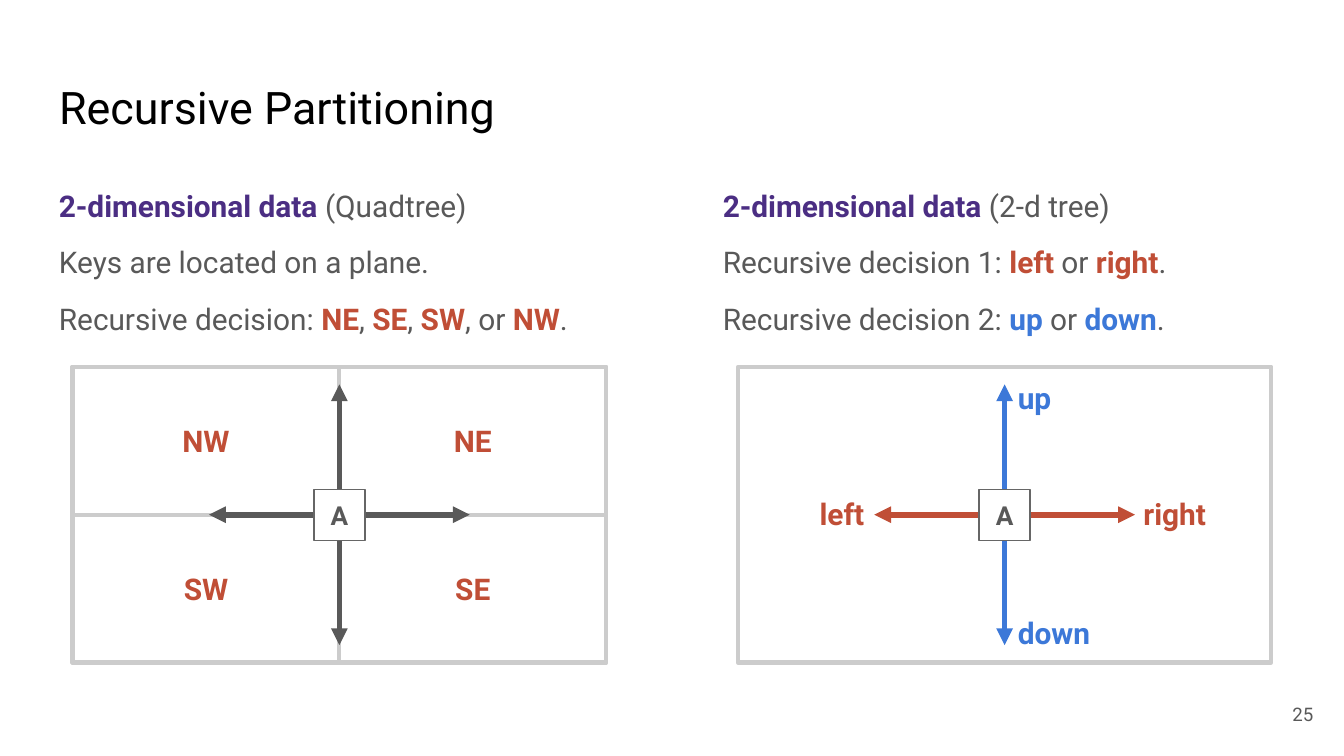
from itertools import product

from lxml.etree import SubElement
from pptx import Presentation
from pptx.dml.color import RGBColor
from pptx.enum.shapes import MSO_CONNECTOR, MSO_SHAPE
from pptx.enum.text import MSO_ANCHOR, MSO_AUTO_SIZE, PP_ALIGN
from pptx.oxml.ns import qn
from pptx.util import Inches, Pt

BLACK = RGBColor(0x00, 0x00, 0x00)
WHITE = RGBColor(0xFF, 0xFF, 0xFF)
GREY = RGBColor(0x59, 0x59, 0x59)
EDGE = RGBColor(0x66, 0x66, 0x66)
PALE = RGBColor(0xCC, 0xCC, 0xCC)
PURPLE = RGBColor(0x4B, 0x2E, 0x83)
RED = RGBColor(0xC0, 0x4E, 0x36)
BLUE = RGBColor(0x3C, 0x78, 0xD8)

# Plane geometry, in inches
TOP, WIDTH, HEIGHT = 2.73, 3.97, 2.2
MID = TOP + HEIGHT / 2
REACH = 0.97
NODE = 0.38


def apply(item, values):
    for name, value in values.items():
        setattr(item, name, value)


def set_frame(frame, anchor):
    apply(frame, {
        "word_wrap": True, "auto_size": MSO_AUTO_SIZE.NONE,
        "vertical_anchor": anchor,
        "margin_left": Inches(0.1), "margin_right": Inches(0.1),
        "margin_top": Inches(0.1), "margin_bottom": Inches(0.1),
    })


def add_run(para, text, size, color, bold=False):
    run = para.add_run()
    run.text = text
    apply(run.font, {"name": "Roboto", "size": Pt(size), "bold": bold})
    run.font.color.rgb = color


def add_label(slide, box, text, color, size=16, bold=True,
              align=PP_ALIGN.LEFT):
    frame = slide.shapes.add_textbox(*map(Inches, box)).text_frame
    set_frame(frame, MSO_ANCHOR.MIDDLE)
    para = frame.paragraphs[0]
    para.alignment = align
    add_run(para, text, size, color, bold)


def add_body(slide, left, lines):
    """Each line is a list of (text, color); coloured words are bold."""
    box = map(Inches, (left, 1.26, 4.37, 1.3))
    frame = slide.shapes.add_textbox(*box).text_frame
    set_frame(frame, MSO_ANCHOR.TOP)
    for index, line in enumerate(lines):
        para = frame.add_paragraph() if index else frame.paragraphs[0]
        apply(para, {"line_spacing": 1.15,
                     "space_before": Pt(8 if index else 0)})
        for text, color in line:
            add_run(para, text, 16, color, color != GREY)


def add_rect(slide, box, line, width, fill=None, text="", size=16,
             color=RED):
    rect = slide.shapes.add_shape(MSO_SHAPE.RECTANGLE, *map(Inches, box))
    rect.shadow.inherit = False
    if fill is None:
        rect.fill.background()
    else:
        rect.fill.solid()
        rect.fill.fore_color.rgb = fill
    rect.line.color.rgb = line
    rect.line.width = Pt(width)
    if text:
        set_frame(rect.text_frame, MSO_ANCHOR.MIDDLE)
        para = rect.text_frame.paragraphs[0]
        para.alignment = PP_ALIGN.CENTER
        add_run(para, text, size, color, True)


def add_arrow(slide, ends, color):
    arrow = slide.shapes.add_connector(MSO_CONNECTOR.STRAIGHT,
                                       *map(Inches, ends))
    arrow.line.color.rgb = color
    arrow.line.width = Pt(3)
    stroke = arrow.line._get_or_add_ln()
    for tag in ("a:headEnd", "a:tailEnd"):
        SubElement(stroke, qn(tag), type="triangle")
    SubElement(arrow._element.spPr, qn("a:effectLst"))


def add_cross(slide, mid, across, upright):
    """Double arrows in both directions with node A at their centre."""
    add_arrow(slide, (mid - REACH, MID, mid + REACH, MID), across)
    add_arrow(slide, (mid, MID - REACH, mid, MID + REACH), upright)
    box = (mid - NODE / 2, MID - NODE / 2, NODE, NODE)
    add_rect(slide, box, EDGE, 0.75, WHITE, "A", 14, GREY)


def add_quad(slide, left):
    add_rect(slide, (left, TOP, WIDTH, HEIGHT), PALE, 2.25, WHITE)
    wide, high = WIDTH / 2, HEIGHT / 2
    for (col, side), (row, pole) in product(enumerate("WE"),
                                            enumerate("NS")):
        box = (left + col * wide, TOP + row * high, wide, high)
        add_rect(slide, box, PALE, 2.25, text=pole + side)
    add_cross(slide, left + wide, GREY, GREY)


def add_split(slide, left):
    add_rect(slide, (left, TOP, WIDTH, HEIGHT), PALE, 2.25, WHITE)
    mid = left + WIDTH / 2
    add_cross(slide, mid, RED, BLUE)
    for text, x, y, color in (("up", mid, TOP, BLUE),
                              ("down", mid, 4.48, BLUE),
                              ("left", 6, 3.6, RED),
                              ("right", 8.41, 3.6, RED)):
        add_label(slide, (x, y, 1, 0.45), text, color)


def add_title(slide, text):
    title = slide.shapes.title
    apply(title, {"left": Inches(0.34), "top": Inches(0.49),
                  "width": Inches(9.32), "height": Inches(0.63)})
    set_frame(title.text_frame, MSO_ANCHOR.TOP)
    para = title.text_frame.paragraphs[0]
    para.alignment = PP_ALIGN.LEFT
    add_run(para, text, 24, BLACK)


def main():
    deck = Presentation()
    # Widescreen, 16:9
    apply(deck, {"slide_width": Inches(10),
                 "slide_height": Inches(10 * 9 / 16)})
    slide = deck.slides.add_slide(deck.slide_layouts[5])

    add_title(slide, "Recursive Partitioning")
    add_label(slide, (9.27, 5.1, 0.6, 0.43), "25", GREY, 10, False,
              PP_ALIGN.RIGHT)

    # Quadtree on the left
    add_body(slide, 0.34, [
        [("2-dimensional data", PURPLE), (" (Quadtree)", GREY)],
        [("Keys are located on a plane.", GREY)],
        [("Recursive decision: ", GREY), ("NE", RED), (", ", GREY),
         ("SE", RED), (", ", GREY), ("SW", RED), (", or ", GREY),
         ("NW", RED), (".", GREY)],
    ])
    add_quad(slide, 0.54)

    # 2-d tree on the right
    rules = [(1, "left", "right", RED), (2, "up", "down", BLUE)]
    add_body(slide, 5.28, [
        [("2-dimensional data", PURPLE), (" (2-d tree)", GREY)],
        *([(f"Recursive decision {step}: ", GREY), (one, color),
           (" or ", GREY), (two, color), (".", GREY)]
          for step, one, two, color in rules),
    ])
    add_split(slide, 5.49)

    deck.save("out.pptx")


if __name__ == "__main__":
    main()
